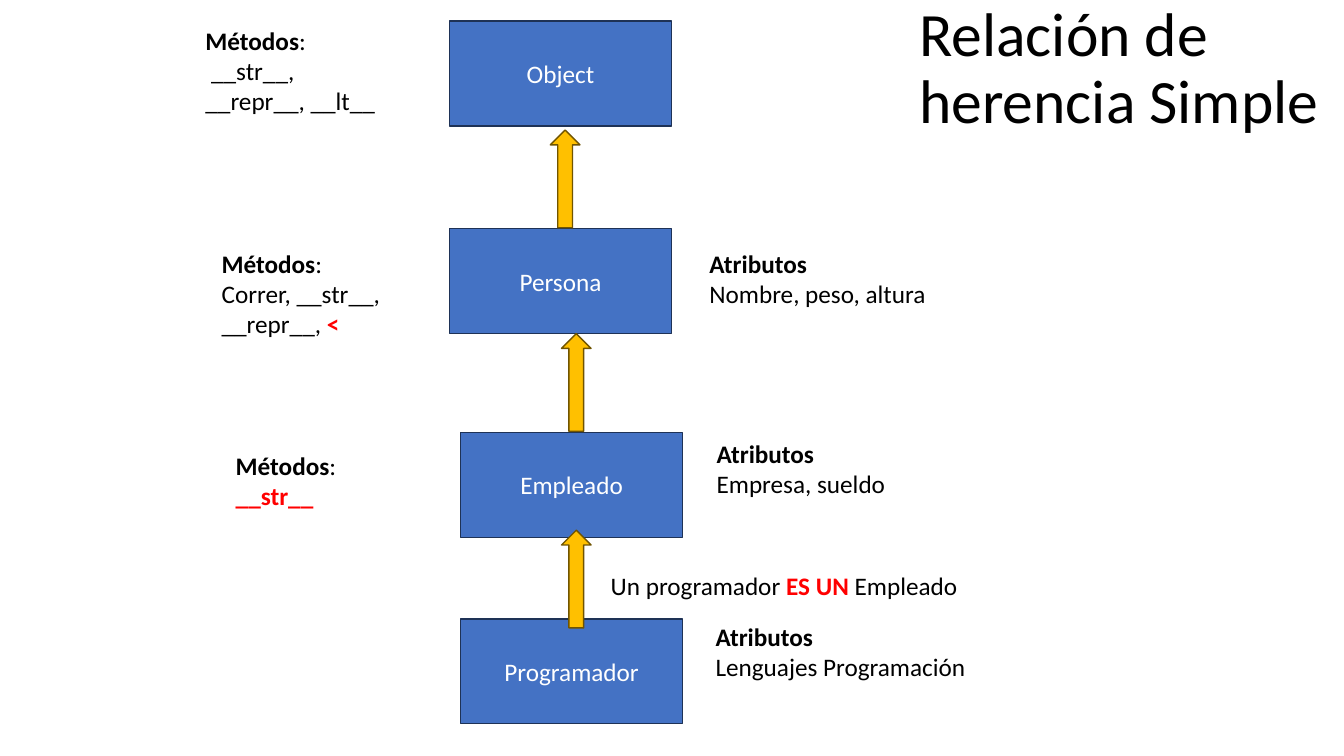
from dataclasses import dataclass

from pptx import Presentation
from pptx.dml.color import RGBColor
from pptx.enum.shapes import MSO_SHAPE
from pptx.enum.text import MSO_ANCHOR, MSO_AUTO_SIZE, PP_ALIGN
from pptx.presentation import Presentation as Deck
from pptx.slide import Slide
from pptx.util import Inches, Pt

RECTANGLE, UP_ARROW = MSO_SHAPE.RECTANGLE, MSO_SHAPE.UP_ARROW
MIDDLE, TOP = MSO_ANCHOR.MIDDLE, MSO_ANCHOR.TOP
LEFT, CENTER = PP_ALIGN.LEFT, PP_ALIGN.CENTER
NO_FIT, GROW = MSO_AUTO_SIZE.NONE, MSO_AUTO_SIZE.SHAPE_TO_FIT_TEXT

BLACK = RGBColor(0x00, 0x00, 0x00)
WHITE = RGBColor(0xFF, 0xFF, 0xFF)
RED = RGBColor(0xFF, 0x00, 0x00)
BLUE = RGBColor(0x44, 0x72, 0xC4)
NAVY = RGBColor(0x1E, 0x32, 0x56)
GOLD = RGBColor(0xFF, 0xC0, 0x00)
BROWN = RGBColor(0x70, 0x54, 0x00)

BOX_W, BOX_H = 16.5, 13.87
ARROW_W, ARROW_H, ARROW_SHIFT = 2.2, 12.93, 7.5
FIRST_LINE, NEXT_LINE = 5.33, 4.07

PLAIN = (False, BLACK)
BOLD = (True, BLACK)
CHANGED = (True, RED)

METHODS = [("Métodos", BOLD), (":", PLAIN)]
ATTRIBUTES = [("Atributos", BOLD)]

CLASSES = [
    ("Object", 33.45, 2.8, None),
    ("Persona", 33.45, 30.27, 17.2),
    ("Empleado", 34.28, 57.2, 44.13),
    ("Programador", 34.28, 81.87, 70.13),
]

NOTES = [
    (14.55, 2.67, 14.33, [METHODS, [(" __str__,", PLAIN)],
                          [("__repr__, __lt__", PLAIN)]]),
    (15.75, 32.13, 13.43, [METHODS, [("Correr, __str__,", PLAIN)],
                           [("__repr__, ", PLAIN), ("<", CHANGED)]]),
    (16.8, 58.93, 9.23, [METHODS, [("__str__", CHANGED)]]),
    (52.05, 32.13, 17.78, [ATTRIBUTES, [("Nombre, peso, altura", PLAIN)]]),
    (52.58, 57.33, 14.18, [ATTRIBUTES, [("Empresa, sueldo", PLAIN)]]),
    (52.5, 81.47, 20.33, [ATTRIBUTES, [("Lenguajes Programación", PLAIN)]]),
    (44.7, 74.8, 27.53, [[("Un programador ", PLAIN), ("ES UN ", CHANGED),
                          ("Empleado", PLAIN)]]),
]


@dataclass
class Diagram:
    prs: Deck
    s: Slide
    font: str = "Calibri"
    size: int = 18

    def area(self, x, y, w, h):
        across, down = self.prs.slide_width / 100, self.prs.slide_height / 100
        return [round(v) for v in (x * across, y * down, w * across, h * down)]

    def style(self, r, color, size=None, bold=False):
        r.font.name = self.font
        r.font.size = Pt(size or self.size)
        r.font.bold = bold
        r.font.color.rgb = color

    def title(self, text, x, y, w, h):
        sp = self.s.shapes.title
        sp.left, sp.top, sp.width, sp.height = self.area(x, y, w, h)
        tf = sp.text_frame
        tf.text = text
        tf.word_wrap = True
        tf.auto_size = NO_FIT
        tf.vertical_anchor = MIDDLE
        p = tf.paragraphs[0]
        p.alignment = LEFT
        p.line_spacing = 0.9
        self.style(p.runs[0], BLACK, 44)

    def shape(self, kind, x, y, w, h, fill, line):
        sp = self.s.shapes.add_shape(kind, *self.area(x, y, w, h))
        sp.shadow.inherit = False
        sp.fill.solid()
        sp.fill.fore_color.rgb = fill
        sp.line.color.rgb = line
        sp.line.width = Pt(1)
        return sp

    def box(self, name, x, y):
        sp = self.shape(RECTANGLE, x, y, BOX_W, BOX_H, BLUE, NAVY)
        tf = sp.text_frame
        tf.text = name
        tf.vertical_anchor = MIDDLE
        p = tf.paragraphs[0]
        p.alignment = CENTER
        self.style(p.runs[0], WHITE)

    def arrow(self, x, y):
        self.shape(UP_ARROW, x, y, ARROW_W, ARROW_H, GOLD, BROWN)

    def note(self, x, y, w, lines):
        h = FIRST_LINE + NEXT_LINE * (len(lines) - 1)
        tf = self.s.shapes.add_textbox(*self.area(x, y, w, h)).text_frame
        tf.word_wrap = False
        tf.auto_size = GROW
        tf.vertical_anchor = TOP
        for i, line in enumerate(lines):
            p = tf.add_paragraph() if i else tf.paragraphs[0]
            p.alignment = LEFT
            for text, (bold, color) in line:
                r = p.add_run()
                r.text = text
                self.style(r, color, bold=bold)


def main():
    prs = Presentation()
    prs.slide_width, prs.slide_height = Inches(13.33), Inches(7.5)
    diagram = Diagram(prs, prs.slides.add_slide(prs.slide_layouts[5]))
    diagram.title("Relación de herencia Simple", 67.65, -0.4, 32.4, 19.33)
    for name, x, y, _ in CLASSES:
        diagram.box(name, x, y)
    for _, x, _, arrow_y in CLASSES[1:]:
        diagram.arrow(x + ARROW_SHIFT, arrow_y)
    for note in NOTES:
        diagram.note(*note)
    prs.save("out.pptx")


if __name__ == "__main__":
    main()
